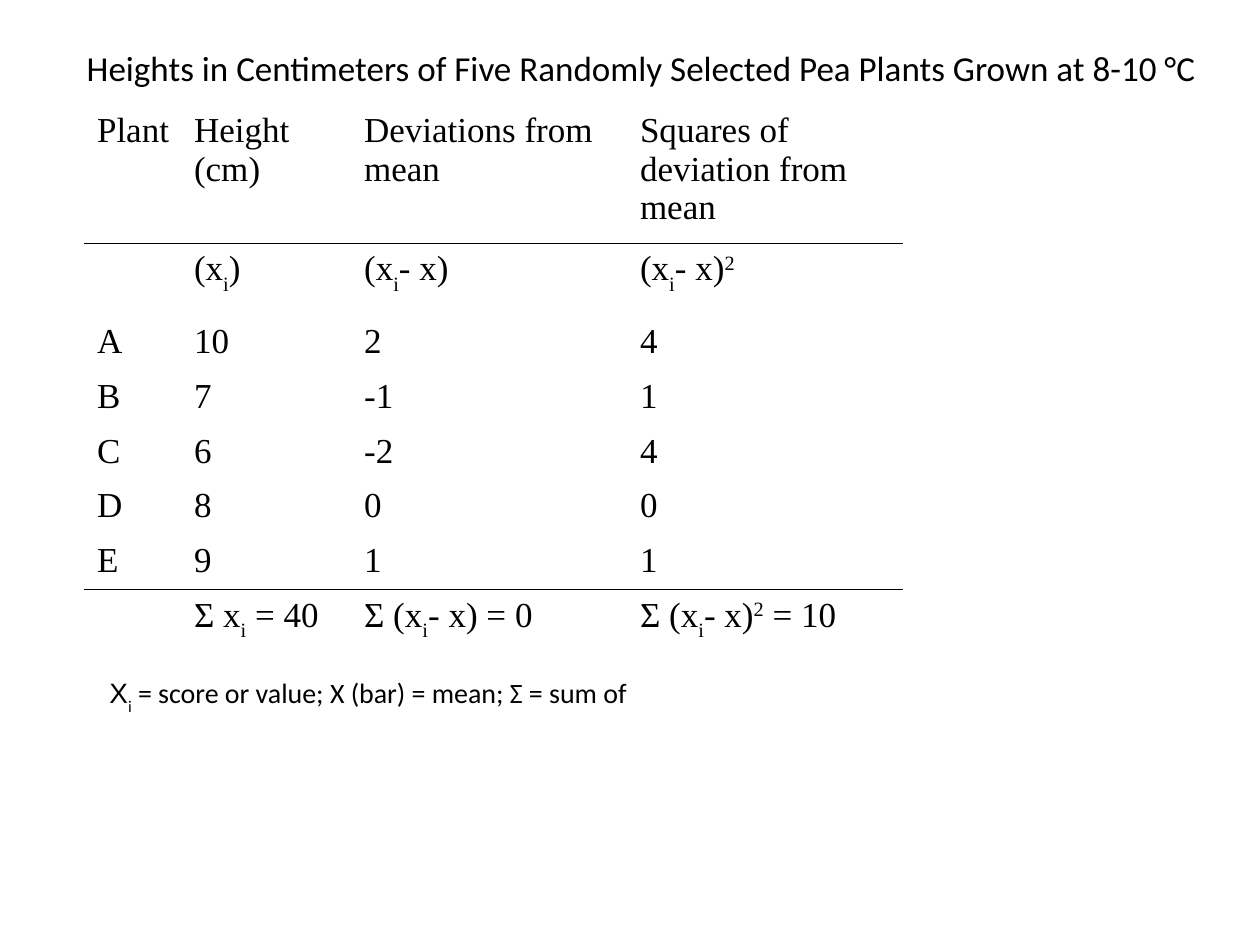
from dataclasses import dataclass
from typing import NamedTuple

from lxml.etree import SubElement
from pptx import Presentation
from pptx.dml.color import RGBColor
from pptx.enum.text import MSO_ANCHOR
from pptx.oxml.ns import qn
from pptx.util import Inches, Pt


@dataclass(frozen=True)
class Theme:
    ink: str = "000000"
    sans: str = "Calibri"
    symbol: str = "Arial"
    serif: str = "Times New Roman"
    main_size: int = 20
    note_size: int = 16
    rule_width: float = 0.45
    table_style: str = "{2D5ABB26-0587-4C30-8999-92F81FD0307C}"


class Span(NamedTuple):
    text: str
    baseline: int = 0
    font: str = ""


class TextBox(NamedTuple):
    left: float
    top: float
    width: float
    height: float
    anchor: MSO_ANCHOR
    size: int
    spans: tuple[Span, ...]


THEME = Theme()
SUBSCRIPT_I = Span("i", -30)
SQUARED = Span("2", 30)
DEVIATION = (Span("(x"), SUBSCRIPT_I, Span("- x)"))

TITLE = TextBox(
    0.59, 0.32, 9.04, 0.77, MSO_ANCHOR.TOP, THEME.main_size,
    (Span("Heights in Centimeters of Five Randomly Selected Pea Plants Grown at 8-10 °C"),),
)
LEGEND = TextBox(
    0.77, 5.31, 4.37, 0.42, MSO_ANCHOR.MIDDLE, THEME.note_size,
    (
        Span("X", font=THEME.symbol),
        SUBSCRIPT_I,
        Span(" = score or value; X (bar) = mean; Σ = sum of"),
    ),
)

HEADINGS = ("Plant", "Height (cm)", "Deviations from mean", "Squares of deviation from mean")
PLANTS = (
    ("A", 10, 2, 4),
    ("B", 7, -1, 1),
    ("C", 6, -2, 4),
    ("D", 8, 0, 0),
    ("E", 9, 1, 1),
)
SYMBOLS = (
    (),
    (Span("(x"), SUBSCRIPT_I, Span(")")),
    DEVIATION,
    (*DEVIATION, SQUARED),
)
SUMS = (
    (),
    (Span("Σ x"), SUBSCRIPT_I, Span(" = 40")),
    (Span("Σ (x"), SUBSCRIPT_I, Span("- x) = 0")),
    (Span("Σ (x"), SUBSCRIPT_I, Span("- x)"), SQUARED, Span(" = 10")),
)
COLUMN_WIDTHS = (0.77, 1.35, 2.19, 2.19)
ROW_HEIGHTS = (1.1, 0.58, *[0.43] * len(PLANTS), 0.57)
RULED_ROWS = (0, len(PLANTS) + 1)
CELL_RIGHT_MARGIN = 0.05


def plain_row(values: tuple) -> tuple:
    return tuple((Span(str(value)),) for value in values)


def write_spans(paragraph, spans: tuple[Span, ...], font: str, size: int) -> None:
    for span in spans:
        run = paragraph.add_run()
        run.text = span.text
        run.font.name = span.font or font
        run.font.size = Pt(size)
        run.font.color.rgb = RGBColor.from_string(THEME.ink)
        if span.baseline:
            run.font._element.set("baseline", str(span.baseline * 1000))


def draw_text(page, item: TextBox) -> None:
    box = page.shapes.add_textbox(
        Inches(item.left), Inches(item.top), Inches(item.width), Inches(item.height)
    )
    frame = box.text_frame
    frame.word_wrap = False
    frame.vertical_anchor = item.anchor
    write_spans(frame.paragraphs[0], item.spans, THEME.sans, item.size)


def draw_border(cell, side: str, ruled: bool) -> None:
    border = SubElement(cell._tc.get_or_add_tcPr(), qn(f"a:{side}"))
    if ruled:
        border.set("w", str(Pt(THEME.rule_width)))
        fill = SubElement(border, qn("a:solidFill"))
        SubElement(fill, qn("a:srgbClr")).set("val", THEME.ink)
    else:
        SubElement(border, qn("a:noFill"))


def draw_table(page, left: float, top: float) -> None:
    rows = (plain_row(HEADINGS), SYMBOLS, *map(plain_row, PLANTS), SUMS)
    table = page.shapes.add_table(
        len(rows), len(COLUMN_WIDTHS), Inches(left), Inches(top),
        Inches(sum(COLUMN_WIDTHS)), Inches(sum(ROW_HEIGHTS)),
    ).table
    table.first_row = False
    table.horz_banding = False
    table._tbl.tblPr.find(qn("a:tableStyleId")).text = THEME.table_style
    for column, width in zip(table.columns, COLUMN_WIDTHS):
        column.width = Inches(width)
    for row, height in zip(table.rows, ROW_HEIGHTS):
        row.height = Inches(height)
    for row_index, contents in enumerate(rows):
        for column_index, spans in enumerate(contents):
            cell = table.cell(row_index, column_index)
            cell.margin_right = Inches(CELL_RIGHT_MARGIN)
            draw_border(cell, "lnT", row_index - 1 in RULED_ROWS)
            draw_border(cell, "lnB", row_index in RULED_ROWS)
            cell.fill.background()
            write_spans(cell.text_frame.paragraphs[0], spans, THEME.serif, THEME.main_size)


def main() -> None:
    deck = Presentation()
    deck.slide_width = Inches(10)
    deck.slide_height = Inches(7.5)
    page = deck.slides.add_slide(deck.slide_layouts[6])
    draw_text(page, TITLE)
    draw_table(page, 0.67, 0.83)
    draw_text(page, LEGEND)
    deck.save("out.pptx")


if __name__ == "__main__":
    main()
